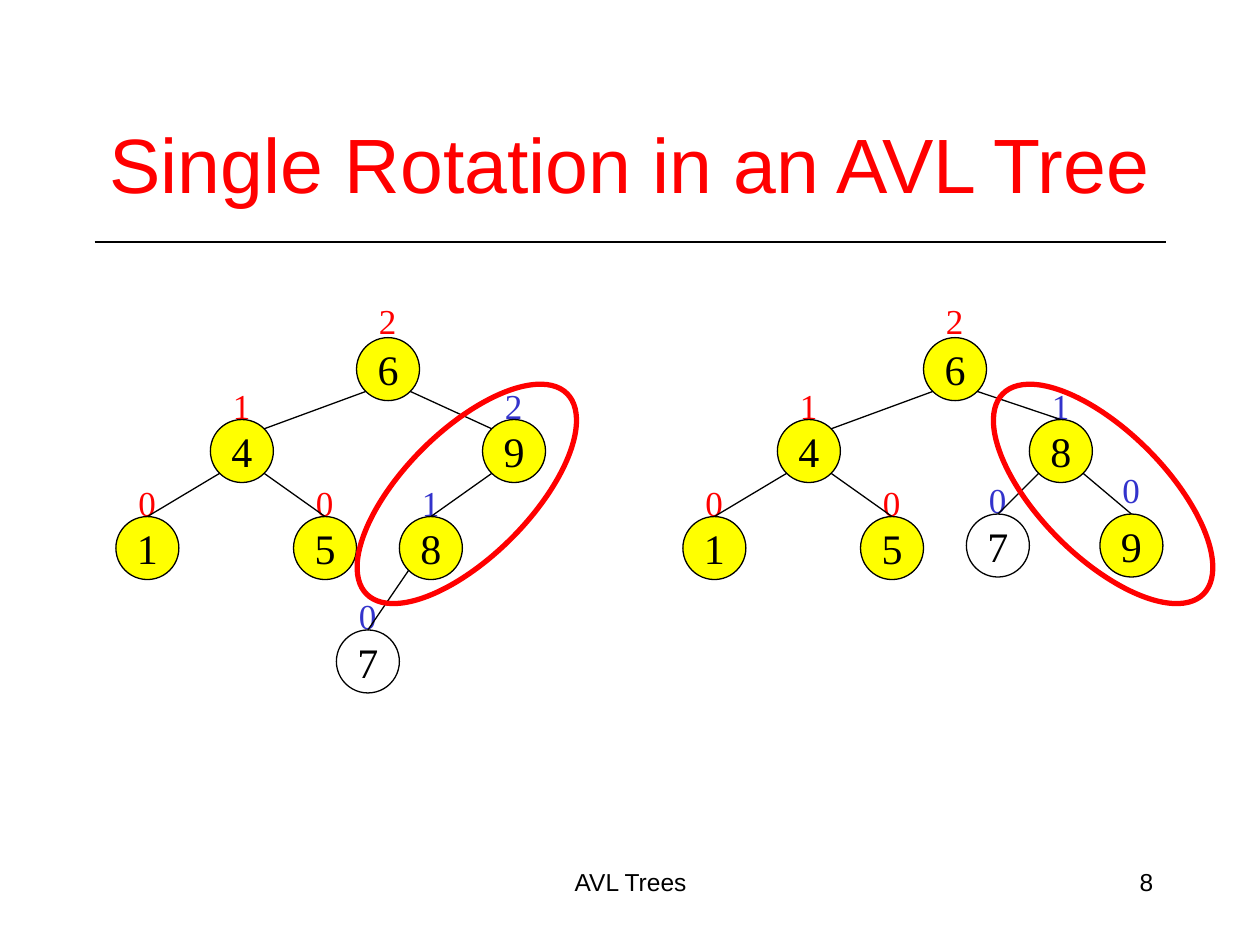
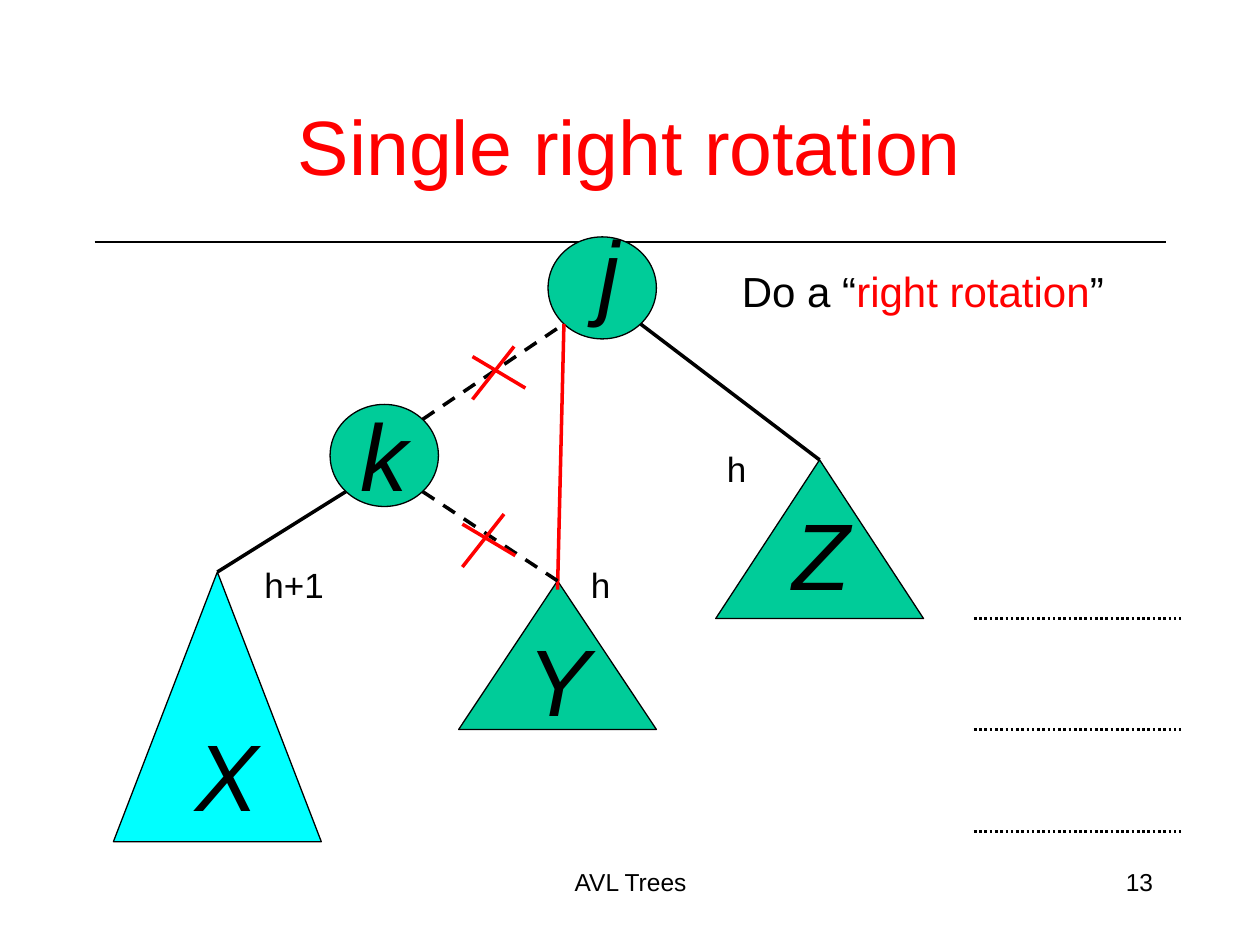
from collections import namedtuple
from math import sqrt

from lxml import etree
from pptx import Presentation
from pptx.dml.color import RGBColor
from pptx.enum.dml import MSO_LINE
from pptx.enum.shapes import MSO_CONNECTOR, MSO_SHAPE
from pptx.enum.text import MSO_ANCHOR, MSO_AUTO_SIZE, PP_ALIGN
from pptx.oxml.ns import qn
from pptx.util import Inches, Pt

COLORS = {
    "black": "000000",
    "red": "FF0000",
    "blue": "3333CC",
    "yellow": "FFFF00",
    "green": "00CC99",
    "cyan": "00FFFF",
}
SANS, SERIF = "Arial", "Times New Roman"
DIAMETER = 0.5

Box = namedtuple("Box", "x y w h")
Node = namedtuple("Node", "x y height color fill lift", defaults=("red", "yellow", 0.33))
Edge = namedtuple("Edge", "parent child to_top", defaults=(True,))

SHARED_NODES = {
    "6": Node(1.91, 0.35, "2", lift=0.35),
    "4": Node(0.75, 1.0, "1"),
    "1": Node(0, 1.77, "0"),
    "5": Node(1.41, 1.77, "0"),
}
SHARED_EDGES = [Edge("6", "4", False), Edge("4", "1"), Edge("4", "5")]
NODES_BEFORE = SHARED_NODES | {
    "9": Node(2.91, 1.0, "2", "blue"),
    "8": Node(2.25, 1.77, "1", "blue"),
    "7": Node(1.75, 2.67, "0", "blue", None),
}
EDGES_BEFORE = SHARED_EDGES + [Edge("6", "9", False), Edge("9", "8"), Edge("8", "7")]
NODES_AFTER = SHARED_NODES | {
    "8": Node(2.75, 1.0, "1", "blue"),
    "9": Node(3.31, 1.75, "0", "blue", lift=0.41),
    "7": Node(2.25, 1.75, "0", "blue", None),
}
EDGES_AFTER = SHARED_EDGES + [Edge("6", "8"), Edge("8", "9"), Edge("8", "7")]


def rgb(name):
    """Return the named colour."""
    return RGBColor.from_string(COLORS[name])


def inches(*lengths):
    """Convert several lengths to inches."""
    return [Inches(v) for v in lengths]


def write(tf, runs, size, font, align=PP_ALIGN.LEFT, italic=False):
    """Write (text, colour) runs into the first paragraph of a frame."""
    p = tf.paragraphs[0]
    p.alignment = align
    for text, color in runs:
        r = p.add_run()
        r.text = text
        r.font.size = Pt(size)
        r.font.name = font
        r.font.italic = italic
        r.font.color.rgb = rgb(color)


def add_text(s, box, runs, size, font=SANS, wrap=False, **style):
    """Add a text box holding one line of runs."""
    tf = s.shapes.add_textbox(*inches(*box)).text_frame
    tf.word_wrap = wrap
    write(tf, runs, size, font, **style)


def add_shape(s, kind, box, fill=None, line="black", width=0.75):
    """Add a flat outlined shape, filled if a colour is given."""
    sp = s.shapes.add_shape(kind, *inches(*box))
    sp.shadow.inherit = False
    if fill:
        sp.fill.solid()
        sp.fill.fore_color.rgb = rgb(fill)
    else:
        sp.fill.background()
    sp.line.color.rgb = rgb(line)
    sp.line.width = Pt(width)
    return sp


def add_line(s, start, end, color="black", width=0.75, dash=None):
    """Add a straight line without a shadow."""
    c = s.shapes.add_connector(MSO_CONNECTOR.STRAIGHT, *inches(*start, *end))
    c.line.color.rgb = rgb(color)
    c.line.width = Pt(width)
    if dash:
        c.line.dash_style = dash
    etree.SubElement(c._element.spPr, qn("a:effectLst"))


def diagonal(box, dx, dy):
    """Return the point of an ellipse at 45 degrees, dx and dy being signs."""
    k = sqrt(0.5) / 2
    return box.x + box.w * (0.5 + dx * k), box.y + box.h * (0.5 + dy * k)


def top(box):
    """Return the middle of the top side."""
    return box.x + box.w / 2, box.y


def new_slide(prs, title, number, title_box):
    """Add a slide with its title, rule and footer."""
    s = prs.slides.add_slide(prs.slide_layouts[5])
    ph = s.shapes.title
    ph.left, ph.top, ph.width, ph.height = inches(*title_box)
    tf = ph.text_frame
    tf.auto_size = MSO_AUTO_SIZE.NONE
    tf.vertical_anchor = MSO_ANCHOR.MIDDLE
    write(tf, [(title, "red")], 44, SANS, PP_ALIGN.CENTER)
    add_line(s, (0.75, 1.92), (9.25, 1.92))
    add_text(s, Box(3.42, 6.83, 3.17, 0.5), [("AVL Trees", "black")], 14,
             wrap=True, align=PP_ALIGN.CENTER)
    add_text(s, Box(7.17, 6.83, 2.08, 0.5), [(str(number), "black")], 14,
             wrap=True, align=PP_ALIGN.RIGHT)
    return s


def draw_tree(s, x, y, nodes, edges, ring_x, ring_angle):
    """Draw a search tree with node heights and a ring round the rotated pair."""
    boxes = {k: Box(x + n.x, y + n.y, DIAMETER, DIAMETER) for k, n in nodes.items()}
    for key, n in nodes.items():
        b = boxes[key]
        add_text(s, Box(b.x + 0.08, b.y - n.lift, 0.34, 0.44),
                 [(n.height, n.color)], 20, SERIF)
    for key, n in nodes.items():
        tf = add_shape(s, MSO_SHAPE.OVAL, boxes[key], n.fill).text_frame
        tf.word_wrap = False
        tf.vertical_anchor = MSO_ANCHOR.MIDDLE
        write(tf, [(key, "black")], 24, SERIF, PP_ALIGN.CENTER)
    for e in edges:
        parent, child = boxes[e.parent], boxes[e.child]
        side = -1 if child.x < parent.x else 1
        end = top(child) if e.to_top else diagonal(child, -side, -1)
        add_line(s, diagonal(parent, side, 1), end)
    ring = add_shape(s, MSO_SHAPE.OVAL, Box(x + ring_x, y + 1.09, 2.25, 1),
                     line="red", width=3)
    ring.rotation = ring_angle


def draw_cross(s, x, y):
    """Strike out a link with a red cross."""
    add_line(s, (x, y + 0.08), (x + 0.42, y + 0.33), "red", 2)
    add_line(s, (x + 0.33, y), (x, y + 0.42), "red", 2)


def draw_rotation(s, x, y):
    """Draw nodes j and k, their subtrees and the links that change."""
    j = Box(x + 3.45, y + 0.23, 0.86, 0.81)
    k = Box(x + 1.72, y + 1.56, 0.86, 0.81)
    tree_x = Box(x, y + 2.89, 1.65, 2.14)
    tree_y = Box(x + 2.74, y + 2.96, 1.57, 1.18)
    tree_z = Box(x + 4.78, y + 2, 1.65, 1.26)
    parts = [
        ("j", MSO_SHAPE.OVAL, j, "green", 0.3, -0.23),
        ("k", MSO_SHAPE.OVAL, k, "green", 0.14, -0.11),
        ("X", MSO_SHAPE.ISOSCELES_TRIANGLE, tree_x, "cyan", 0.55, 1.1),
        ("Y", MSO_SHAPE.ISOSCELES_TRIANGLE, tree_y, "green", 0.45, 0.28),
        ("Z", MSO_SHAPE.ISOSCELES_TRIANGLE, tree_z, "green", 0.51, 0.24),
    ]
    for letter, kind, box, fill, dx, dy in parts:
        add_shape(s, kind, box, fill)
        add_text(s, Box(box.x + dx, box.y + dy, 0.53, 1), [(letter, "black")], 54,
                 wrap=True, italic=True)
    apex_x, apex_y = top(tree_y)
    add_line(s, diagonal(k, -1, 1), top(tree_x), width=2)
    add_line(s, diagonal(j, 1, 1), top(tree_z), width=2)
    add_line(s, diagonal(j, -1, 1), (apex_x, apex_y + 0.07), "red", 2)
    add_line(s, diagonal(k, 1, -1), diagonal(j, -1, 1), width=2, dash=MSO_LINE.DASH)
    add_line(s, diagonal(k, 1, 1), top(tree_y), width=2, dash=MSO_LINE.DASH)
    draw_cross(s, x + 2.85, y + 1.1)
    draw_cross(s, x + 2.77, y + 2.43)
    for text, dx, dy, w in [("h", 4.77, 1.85, 0.35), ("h+1", 1.1, 2.77, 0.67),
                            ("h", 3.69, 2.77, 0.35)]:
        add_text(s, Box(x + dx, y + dy, w, 0.44), [(text, "black")], 20)


def draw_levels(s, x, y, w):
    """Draw the dotted lines that mark the depths of the subtrees."""
    for dy in (0, 0.88, 1.69):
        add_line(s, (x, y + dy), (x + w, y + dy), width=1.5, dash=MSO_LINE.ROUND_DOT)


def avl_example_slide(prs):
    """Build the slide with a tree before and after its rotation."""
    s = new_slide(prs, "Single Rotation in an AVL Tree", 8, Box(0.75, 0.67, 8.5, 1.25))
    draw_tree(s, 0.92, 2.33, NODES_BEFORE, EDGES_BEFORE, 1.66, 315)
    draw_tree(s, 5.42, 2.33, NODES_AFTER, EDGES_AFTER, 2.21, 45)


def right_rotation_slide(prs):
    """Build the slide with the general right rotation."""
    s = new_slide(prs, "Single right rotation", 13, Box(0.73, 0.71, 8.54, 0.88))
    draw_rotation(s, 0.9, 1.65)
    draw_levels(s, 7.73, 4.91, 1.64)
    add_text(s, Box(5.79, 2.06, 3.07, 0.5),
             [("Do a “", "black"), ("right rotation", "red"), ("”", "black")], 24)


def main():
    """Build and save the presentation."""
    prs = Presentation()
    prs.slide_width, prs.slide_height = inches(10, 7.5)
    avl_example_slide(prs)
    right_rotation_slide(prs)
    prs.save("out.pptx")


if __name__ == "__main__":
    main()
